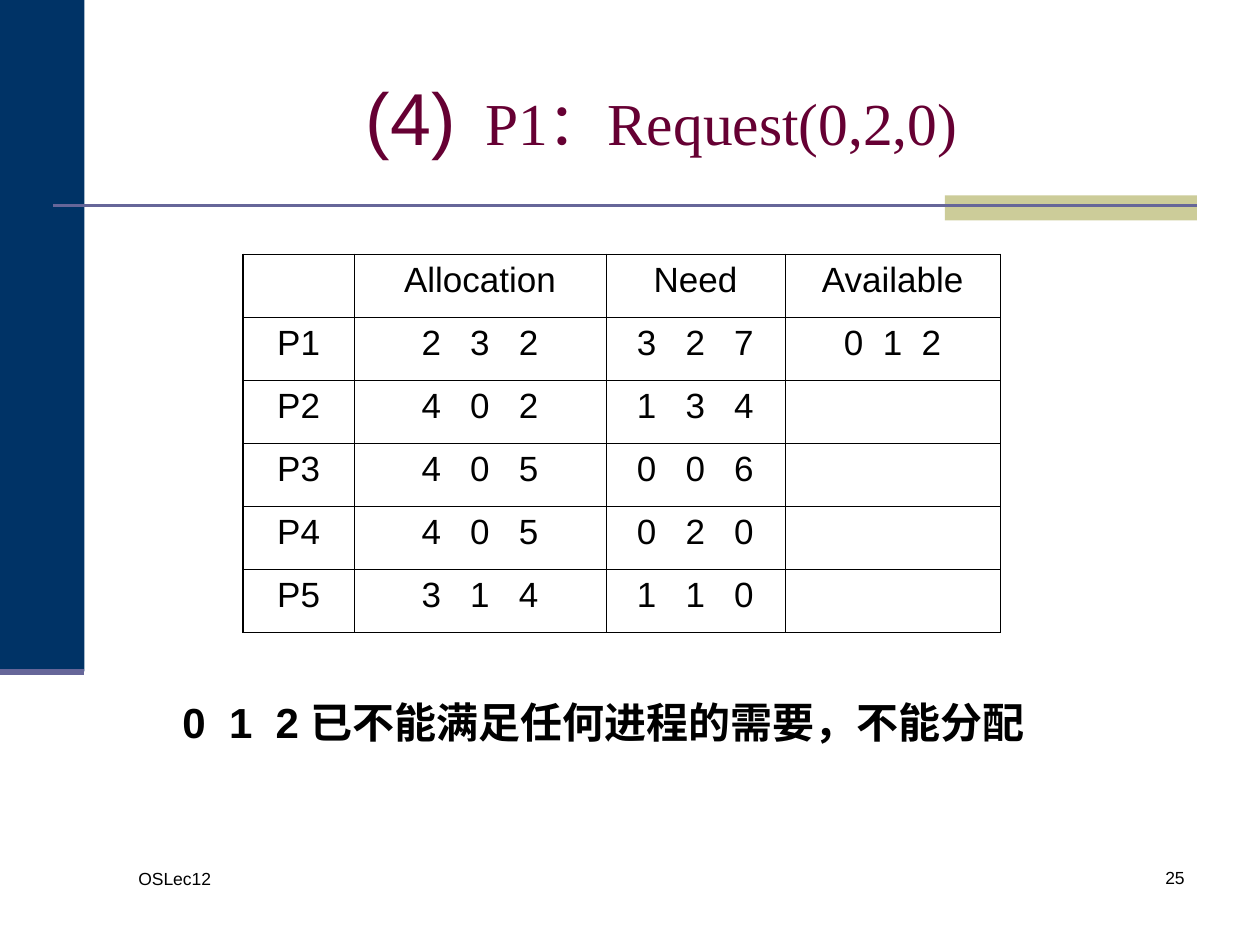
from lxml import etree
from pptx import Presentation
from pptx import util as u
from pptx.dml.color import RGBColor
from pptx.enum import lang, shapes, text
from pptx.oxml import ns

NAVY = RGBColor(0x00, 0x33, 0x66)
SAND = RGBColor(0xCC, 0xCC, 0x99)
SLATE = RGBColor(0x66, 0x66, 0x99)
WINE = RGBColor(0x66, 0x00, 0x33)
BLACK = RGBColor(0, 0, 0)

SANS, SERIF, HAN = "Arial", "Times New Roman", "Noto Sans CJK SC"
LEFT, MID, RIGHT = text.PP_ALIGN.LEFT, text.PP_ALIGN.CENTER, text.PP_ALIGN.RIGHT

ROWS = [
    ("", "Allocation", "Need", "Available"),
    ("P1", "2   3   2", "3   2   7", "0  1  2"),
    ("P2", "4   0   2", "1   3   4", ""),
    ("P3", "4   0   5", "0   0   6", ""),
    ("P4", "4   0   5", "0   2   0", ""),
    ("P5", "3   1   4", "1   1   0", ""),
]
COLS = (0.88, 2, 1.42, 1.71)


def box(*nums):
    return [u.Inches(n) for n in nums]


class Deck:
    """Holds the text style and the current slide."""

    def __init__(self, show):
        self.slide = show.slides.add_slide(show.slide_layouts[5])
        self.items = self.slide.shapes

    def style(self, run, size, face=SANS, color=BLACK, bold=False):
        font = run.font
        font.size, font.name, font.bold = u.Pt(size), face, bold
        font.color.rgb = color
        font.language_id = lang.MSO_LANGUAGE_ID.SIMPLIFIED_CHINESE
        east = etree.SubElement(font._element, ns.qn("a:ea"))
        east.set("typeface", HAN)

    def block(self, area, color):
        rect = self.items.add_shape(shapes.MSO_SHAPE.RECTANGLE, *box(*area))
        rect.shadow.inherit = False
        rect.fill.solid()
        rect.fill.fore_color.rgb = color
        rect.line.fill.background()

    def rule(self, ends, width):
        line = self.items.add_connector(shapes.MSO_CONNECTOR.STRAIGHT, *box(*ends))
        line.line.color.rgb = SLATE
        line.line.width = u.Pt(width)
        etree.SubElement(line._element.spPr, ns.qn("a:effectLst"))

    def title(self, area, parts):
        head = self.items.title
        head.left, head.top, head.width, head.height = box(*area)
        frame = head.text_frame
        frame.auto_size = text.MSO_AUTO_SIZE.NONE
        frame.vertical_anchor = text.MSO_ANCHOR.MIDDLE
        para = frame.paragraphs[0]
        para.alignment = MID
        for words, size, face in parts:
            run = para.add_run()
            run.text = words
            self.style(run, size, face, WINE)

    def label(self, area, words, size, align=LEFT, bold=False, wrap=True):
        frame = self.items.add_textbox(*box(*area)).text_frame
        frame.word_wrap = wrap
        frame.text = words
        para = frame.paragraphs[0]
        para.alignment = align
        self.style(para.runs[0], size, bold=bold)

    def edge(self, cell, side, width):
        line = etree.SubElement(cell._tc.get_or_add_tcPr(), ns.qn("a:ln" + side))
        line.set("w", str(u.Pt(width)))
        fill = etree.SubElement(line, ns.qn("a:solidFill"))
        etree.SubElement(fill, ns.qn("a:srgbClr")).set("val", str(BLACK))

    def table(self, area, rows, cols):
        last, end = len(rows) - 1, len(cols) - 1
        grid = self.items.add_table(len(rows), len(cols), *box(*area)).table
        grid.first_row = grid.horz_banding = False
        for col, width in zip(grid.columns, cols):
            col.width = u.Inches(width)
        for r, row in enumerate(rows):
            for c, words in enumerate(row):
                cell = grid.cell(r, c)
                # Thick outer frame, thin inner lines
                outer = {"L": c == 0, "R": c == end, "T": r == 0, "B": r == last}
                for side, thick in outer.items():
                    self.edge(cell, side, 1.08 if thick else 0.45)
                cell.fill.background()
                if words:
                    cell.text_frame.text = words
                    para = cell.text_frame.paragraphs[0]
                    para.alignment = MID
                    self.style(para.runs[0], 20)


def main():
    show = Presentation()
    show.slide_width, show.slide_height = box(10, 7.5)
    deck = Deck(show)

    # Side band and title rule
    deck.block((0, 0, 0.67, 5.33), NAVY)
    deck.block((7.5, 1.55, 2, 0.2), SAND)
    deck.rule((0.42, 1.63, 9.5, 1.63), 1.5)
    deck.rule((0, 5.33, 0.67, 5.33), 3.5)

    # Footer
    deck.label((1, 6.84, 2.17, 0.5), "OSLec12", 10)
    deck.label((7.42, 6.83, 2.08, 0.5), "25", 10, RIGHT)

    # Title, table and conclusion
    deck.title((1, 0.3, 8.5, 1.25), [
        ("(4)", 42, SANS), ("  P1", 34, SERIF),
        ("：", 34, HAN), ("Request(0,2,0)", 34, SERIF),
    ])
    deck.table((1.93, 2.02, 6, 3), ROWS, COLS)
    deck.label((1.35, 5.48, 6.96, 0.5), "0  1  2 已不能满足任何进程的需要，不能分配",
               24, bold=True, wrap=False)

    show.save("out.pptx")


if __name__ == "__main__":
    main()
